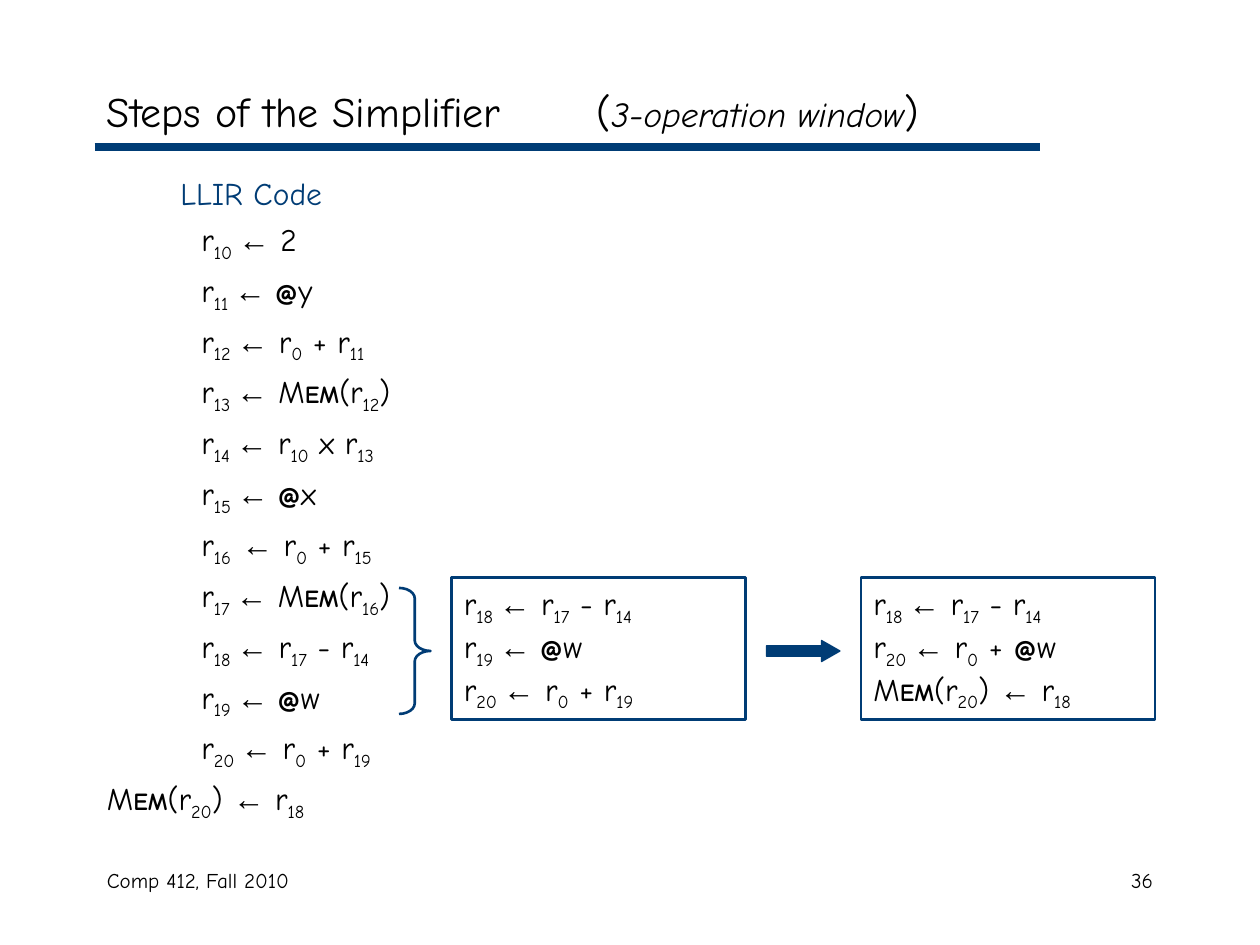
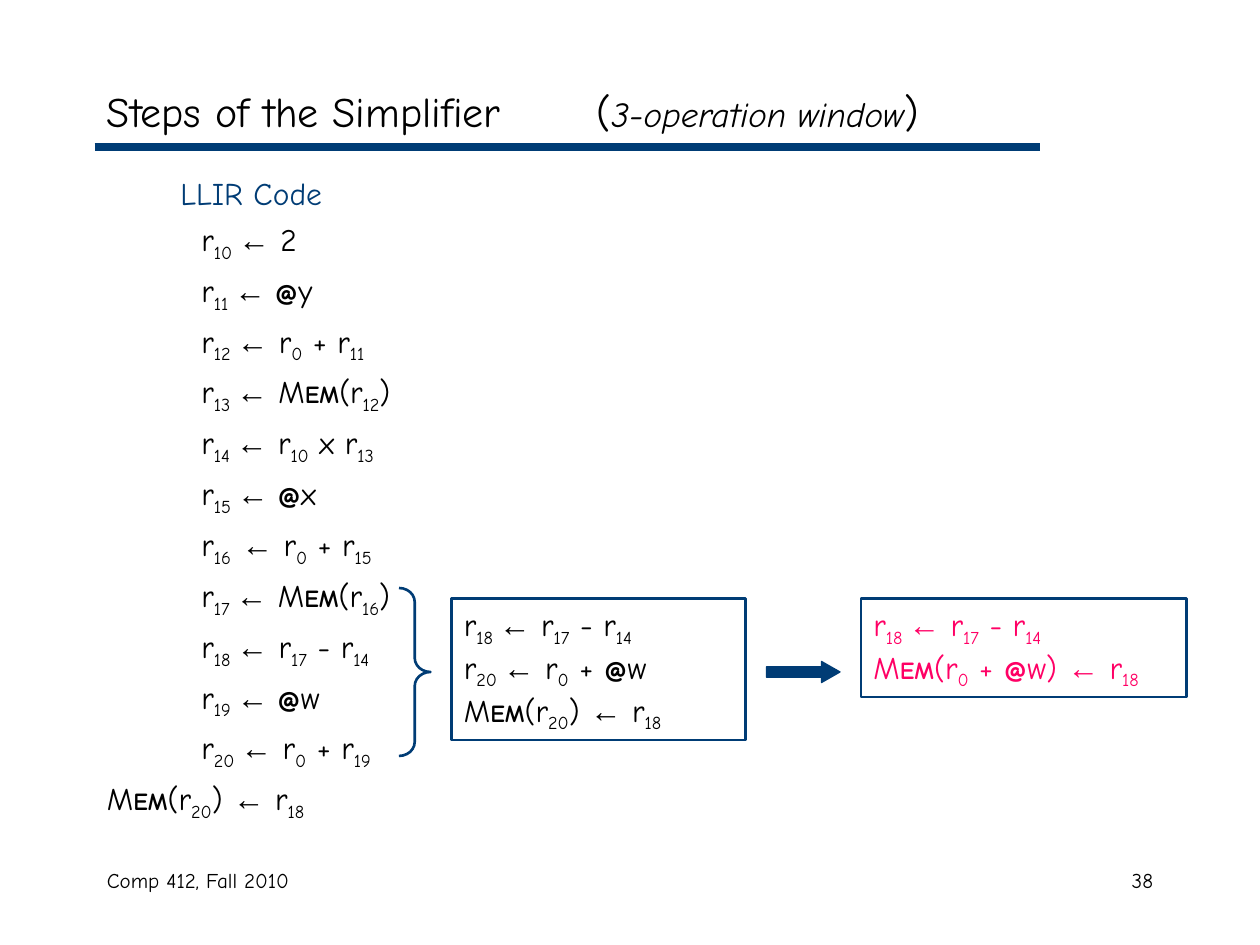
from pptx import Presentation
from pptx.dml.color import RGBColor
from pptx.enum.shapes import MSO_CONNECTOR, MSO_SHAPE
from pptx.enum.text import MSO_ANCHOR, PP_ALIGN
from pptx.oxml.ns import qn
from pptx.util import Pt
from lxml import etree

LINE = MSO_CONNECTOR.STRAIGHT
RECT, BRACE, ARROW = MSO_SHAPE.RECTANGLE, MSO_SHAPE.RIGHT_BRACE, MSO_SHAPE.RIGHT_ARROW
TOP, MIDDLE = MSO_ANCHOR.TOP, MSO_ANCHOR.MIDDLE
LEFT, RIGHT = PP_ALIGN.LEFT, PP_ALIGN.RIGHT

NAVY = RGBColor(0x00, 0x3C, 0x75)
PINK = RGBColor(0xFF, 0x00, 0x65)
BLACK = RGBColor(0x00, 0x00, 0x00)
FONT, SYMBOL = "Comic Neue", "Arial"

# Runs are split at "|"; a run that starts with "_" is a subscript.
SUB = "r|_18 |←| r|_17| - r|_14"
ADDR = "r|_19 |← |@|w"
SUM = "r|_20 |←| r|_0| + r|_19"
SUM_W = "r|_20 |←| r|_0| + |@|w"
STORE = "M|EM|(r|_20|) |←| r|_18"
STORE_W = "M|EM|(r|_0| + |@|w) |←| r|_18"
CODE = [
    "r|_10 |←| 2",
    "r|_11 |← |@|y",
    "r|_12 |←| r|_0| + r|_11",
    "r|_13 |←| M|EM|(r|_12|)",
    "r|_14 |←| r|_10| x r|_13",
    "r|_15 |← |@|x",
    "r|_16| |←| r|_0| + r|_15",
    "r|_17 |←| M|EM|(r|_16|)",
    SUB, ADDR, SUM, STORE,
]

# Page, top of boxes, brace height, window, result, result width, height, colour
STEPS = [
    ("36", 330, 72, [SUB, ADDR, SUM], [SUB, SUM_W, STORE], 168, 81, BLACK),
    ("38", 342, 96, [SUB, SUM_W, STORE], [SUB, STORE_W], 186, 56.4, PINK),
]


def write(frame, lines, size=18, color=BLACK, align=LEFT):
    """Fill a text frame, one marked-up line to a paragraph."""
    frame.word_wrap = True
    for i, line in enumerate(lines):
        para = frame.paragraphs[0] if i == 0 else frame.add_paragraph()
        para.alignment = align
        para.font.name, para.font.size = FONT, Pt(size)
        para.font.color.rgb = color
        for part in line.split("|"):
            run = para.add_run()
            run.text = part.lstrip("_")
            if part.startswith("_"):
                run._r.get_or_add_rPr().set("baseline", "-25000")
            elif part.startswith("←"):
                run.font.name = SYMBOL
            elif part in ("@", "EM"):
                run.font.bold = True
                run.font.size = Pt(16 if part == "@" else 14)


def draw(slide, kind, x, y, w, h, weight=1.5):
    """Add an unfilled navy outline shape."""
    shape = slide.shapes.add_shape(kind, Pt(x), Pt(y), Pt(w), Pt(h))
    shape.shadow.inherit = False
    shape.fill.background()
    shape.line.color.rgb = NAVY
    shape.line.width = Pt(weight)
    return shape


deck = Presentation()
deck.slide_width, deck.slide_height = Pt(720), Pt(540)

for page, top, reach, window, result, wide, high, color in STEPS:
    slide = deck.slides.add_slide(deck.slide_layouts[6])
    shapes = slide.shapes

    # Title and rule
    rule = shapes.add_connector(LINE, Pt(54), Pt(84), Pt(594), Pt(84))
    rule.line.color.rgb = NAVY
    rule.line.width = Pt(4.5)
    etree.SubElement(rule._element.spPr, qn("a:effectLst"))

    title = shapes.add_textbox(Pt(54), Pt(42), Pt(612), Pt(42)).text_frame
    title.vertical_anchor = MIDDLE
    title.word_wrap = True
    para = title.paragraphs[0]
    tabs = etree.SubElement(para._p.get_or_add_pPr(), qn("a:tabLst"))
    etree.SubElement(tabs, qn("a:tab"), pos=str(Pt(280)), algn="l")
    para.font.name, para.font.size = FONT, Pt(24)
    para.font.color.rgb = BLACK
    for part in ("Steps of the Simplifier\t(", "3-operation window", ")"):
        run = para.add_run()
        run.text = part
        if part.startswith("3"):
            run.font.size, run.font.italic = Pt(20), True

    # Code listing
    code = shapes.add_textbox(Pt(54), Pt(96), Pt(204), Pt(378)).text_frame
    write(code, ["LLIR Code"] + CODE)
    head, *body = code.paragraphs
    head.font.color.rgb = NAVY
    head._p.get_or_add_pPr().set("marL", str(Pt(42)))
    for para in body:
        para.space_before = Pt(4.5)
    for para in body[:-1]:
        para._p.get_or_add_pPr().set("marL", str(Pt(54)))

    # Window on the code and its simplified form
    brace = draw(slide, BRACE, 228, 336, 18, reach)
    brace.adjustments[0] = reach / 18 / 12
    for lines, x, w, h, ink in (
        (window, 258, 168, 81, BLACK),
        (result, 492, wide, high, color),
    ):
        frame = draw(slide, RECT, x, top, w, h).text_frame
        frame.vertical_anchor = TOP
        write(frame, lines, color=ink)
    arrow = draw(slide, ARROW, 438, top + 36, 42, 12, 0.75)
    arrow.adjustments[0], arrow.adjustments[1] = 0.5, 0.875
    arrow.fill.solid()
    arrow.fill.fore_color.rgb = NAVY

    # Footer
    for text, x, w, align in (
        ("Comp 412, Fall 2010", 54, 228, LEFT),
        (page, 516, 150, RIGHT),
    ):
        foot = shapes.add_textbox(Pt(x), Pt(492), Pt(w), Pt(36))
        write(foot.text_frame, [text], 12, align=align)

deck.save("out.pptx")
